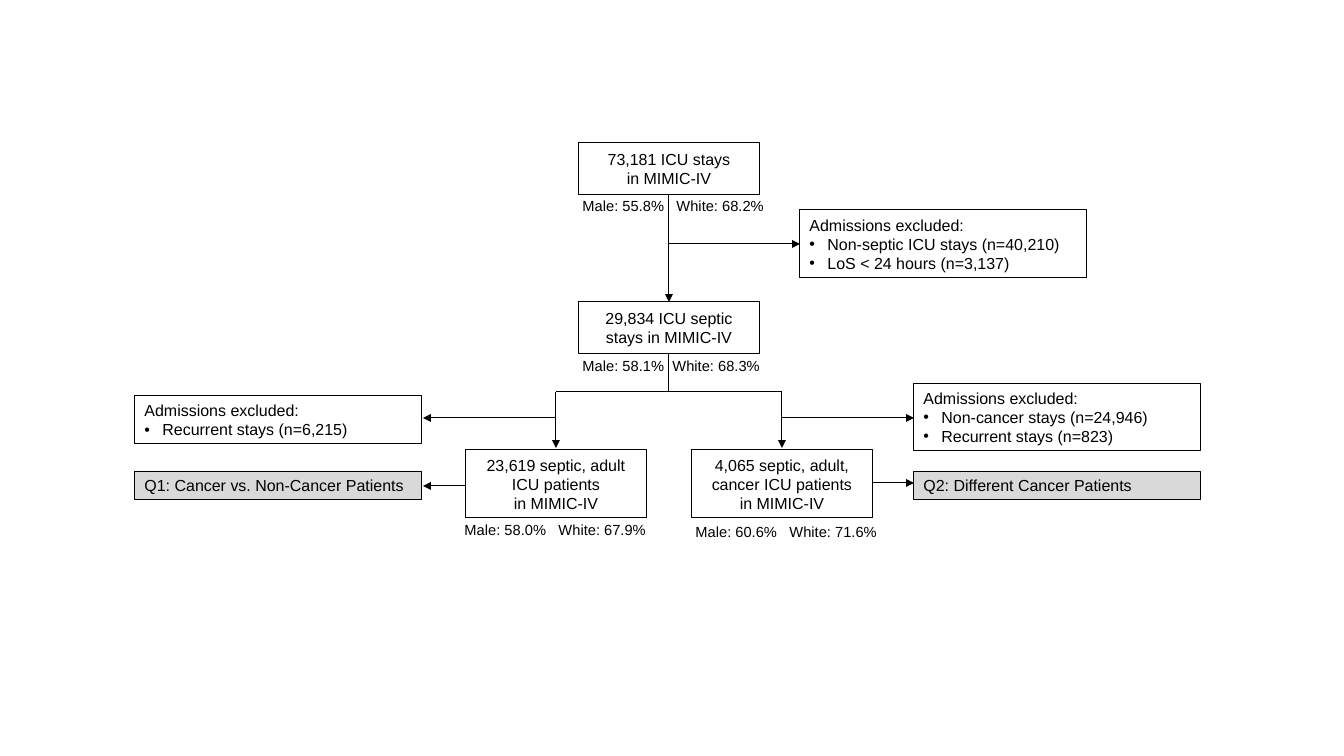
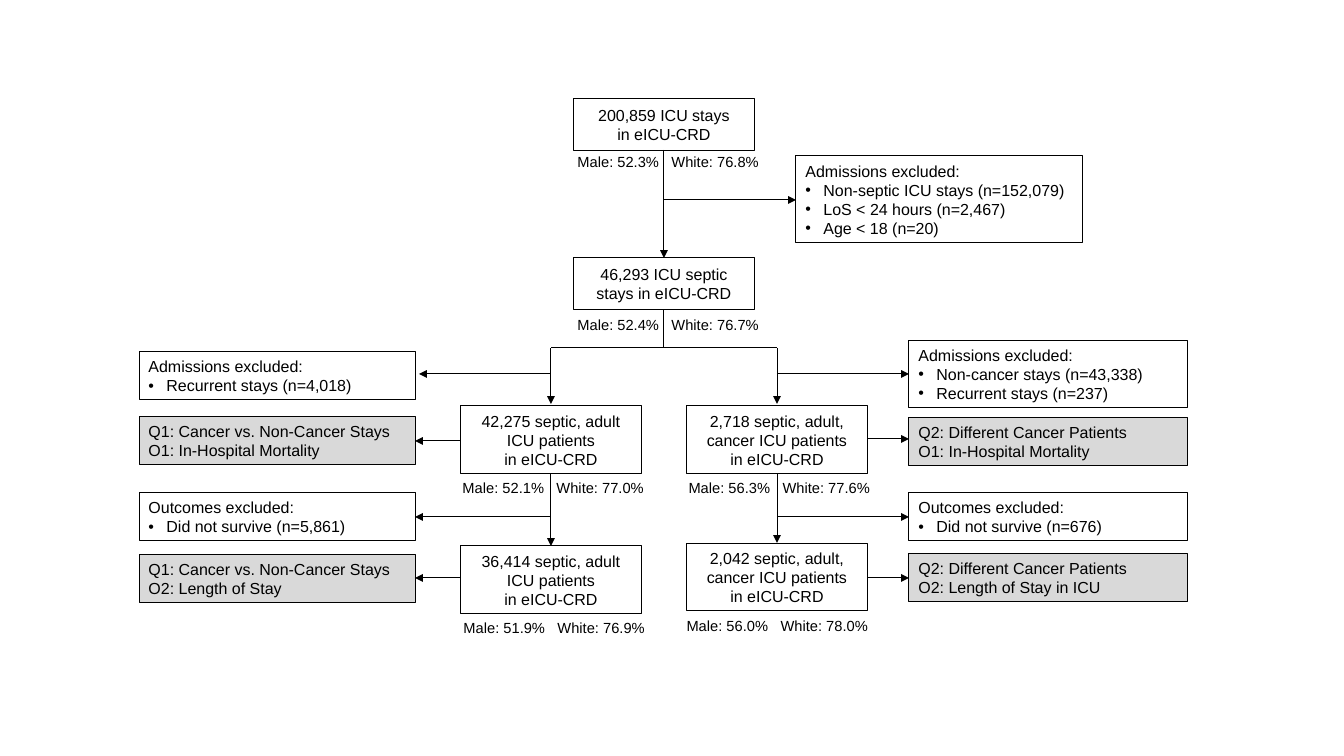
"""Build two patient selection flowcharts for septic ICU cohorts."""
from lxml import etree
from pptx import Presentation
from pptx.dml.color import RGBColor
from pptx.enum.shapes import MSO_CONNECTOR, MSO_SHAPE
from pptx.enum.text import MSO_ANCHOR, PP_ALIGN
from pptx.oxml.ns import qn
from pptx.util import Pt

PX = 9525
BLACK = RGBColor(0x00, 0x00, 0x00)
GREY = RGBColor(0xD9, 0xD9, 0xD9)
FONT = "Arial"
STRAIGHT = MSO_CONNECTOR.STRAIGHT
RECTANGLE = MSO_SHAPE.RECTANGLE
MIDDLE = MSO_ANCHOR.MIDDLE
LEFT, CENTER = PP_ALIGN.LEFT, PP_ALIGN.CENTER

PAGE_W, PAGE_H = 1344, 756
COHORT_W = 181
COHORT_HEIGHTS = {"stays": 52, "patients": 68}
NOTE_HEIGHTS = {1: 29, 2: 48, 3: 68, 4: 87}
BRANCH_STEP = 113
RATE_H, MALE_W, WHITE_W = 28, 82, 87
BULLET_INDENT = 18

# Columns are -1 (all patients), 0 (trunk) and 1 (cancer patients).
CHARTS = [
    {
        "center": 669,
        "cohorts": [
            (0, 143, "stays", "73,181 ICU stays\nin MIMIC-IV"),
            (0, 302, "stays", "29,834 ICU septic stays in MIMIC-IV"),
            (-1, 450, "patients", "23,619 septic, adult ICU patients\nin MIMIC-IV"),
            (1, 450, "patients", "4,065 septic, adult, cancer ICU patients\nin MIMIC-IV"),
        ],
        "rates": [
            (673, 192, 287, 12, "Male: 55.8%", "White: 68.2%"),
            (671, 352, 245, 8, "Male: 58.1%", "White: 68.3%"),
            (555, 516, 245, 12, "Male: 58.0%", "White: 67.9%"),
            (786, 518, 287, 12, "Male: 60.6%", "White: 71.6%"),
        ],
        "exclusions": [
            (800, 210, 287, ["Admissions excluded:", "Non-septic ICU stays (n=40,210)",
                             "LoS < 24 hours (n=3,137)"]),
            (135, 396, 287, ["Admissions excluded:", "Recurrent stays (n=6,215)"]),
            (914, 383, 287, ["Admissions excluded:", "Non-cancer stays (n=24,946)",
                             "Recurrent stays (n=823)"]),
        ],
        "questions": [
            (135, 471, 287, ["Q1: Cancer vs. Non-Cancer Patients"]),
            (914, 471, 287, ["Q2: Different Cancer Patients"]),
        ],
        "fork": (354, 392),
        "descents": [(0, 195, 302), (-1, 392, 448), (1, 392, 448)],
        "exits": [(0, 244, 800), (-1, 418, 423), (1, 418, 914)],
        "answers": [(-1, 486, 423), (1, 483, 914)],
    },
    {
        "center": 664,
        "cohorts": [
            (0, 99, "stays", "200,859 ICU stays\nin eICU-CRD"),
            (0, 258, "stays", "46,293 ICU septic stays in eICU-CRD"),
            (-1, 406, "patients", "42,275 septic, adult ICU patients\nin eICU-CRD"),
            (1, 406, "patients", "2,718 septic, adult, cancer ICU patients\nin eICU-CRD"),
            (-1, 546, "patients", "36,414 septic, adult ICU patients\nin eICU-CRD"),
            (1, 543, "patients", "2,042 septic, adult, cancer ICU patients\nin eICU-CRD"),
        ],
        "rates": [
            (668, 148, 287, 12, "Male: 52.3%", "White: 76.8%"),
            (668, 311, 248, 12, "Male: 52.4%", "White: 76.7%"),
            (553, 474, 248, 12, "Male: 52.1%", "White: 77.0%"),
            (779, 474, 251, 12, "Male: 56.3%", "White: 77.6%"),
            (554, 614, 248, 12, "Male: 51.9%", "White: 76.9%"),
            (777, 612, 251, 12, "Male: 56.0%", "White: 78.0%"),
        ],
        "exclusions": [
            (796, 156, 287, ["Admissions excluded:", "Non-septic ICU stays (n=152,079)",
                             "LoS < 24 hours (n=2,467)", "Age < 18 (n=20)"]),
            (139, 352, 276, ["Admissions excluded:", "Recurrent stays (n=4,018)"]),
            (909, 340, 279, ["Admissions excluded:", "Non-cancer stays (n=43,338)",
                             "Recurrent stays (n=237)"]),
            (139, 493, 276, ["Outcomes excluded:", "Did not survive (n=5,861)"]),
            (909, 493, 279, ["Outcomes excluded:", "Did not survive (n=676)"]),
        ],
        "questions": [
            (139, 417, 276, ["Q1: Cancer vs. Non-Cancer Stays", "O1: In-Hospital Mortality"]),
            (909, 418, 279, ["Q2: Different Cancer Patients", "O1: In-Hospital Mortality"]),
            (139, 555, 276, ["Q1: Cancer vs. Non-Cancer Stays", "O2: Length of Stay"]),
            (909, 554, 279, ["Q2: Different Cancer Patients", "O2: Length of Stay in ICU"]),
        ],
        "fork": (310, 348),
        "descents": [(0, 150, 258), (-1, 348, 404), (1, 348, 404),
                     (-1, 474, 546), (1, 474, 543)],
        "exits": [(0, 200, 796), (-1, 374, 419), (1, 374, 909),
                  (-1, 517, 415), (1, 517, 909)],
        "answers": [(-1, 441, 415), (1, 439, 909), (-1, 578, 415), (1, 578, 909)],
    },
]


def px(*lengths):
    return [round(length * PX) for length in lengths]


def add_span(para, text, size=12):
    span = para.add_run()
    span.text = text
    span.font.name = FONT
    span.font.size = Pt(size)
    span.font.color.rgb = BLACK


def add_bullet(para):
    props = para._p.get_or_add_pPr()
    indent = px(BULLET_INDENT)[0]
    props.set("marL", str(indent))
    props.set("indent", str(-indent))
    etree.SubElement(props, qn("a:buFont")).set("typeface", FONT)
    etree.SubElement(props, qn("a:buChar")).set("char", "•")


def add_box(page, left, top, width, height, lines, align=LEFT, fill=None, bulleted=False):
    box = page.shapes.add_shape(RECTANGLE, *px(left, top, width, height))
    box.shadow.inherit = False
    box.line.color.rgb = BLACK
    box.line.width = Pt(0.75)
    if fill is None:
        box.fill.background()
    else:
        box.fill.solid()
        box.fill.fore_color.rgb = fill
    frame = box.text_frame
    frame.word_wrap = True
    frame.vertical_anchor = MIDDLE
    for index, line in enumerate(lines):
        para = frame.add_paragraph() if index else frame.paragraphs[0]
        para.alignment = align
        if bulleted and index:
            add_bullet(para)
        for part, text in enumerate(line.split("\n")):
            if part:
                para.add_line_break()
            add_span(para, text)


def add_rates(page, center, top, width, gap, male, white):
    box = page.shapes.add_textbox(*px(center - width / 2, top, width, RATE_H))
    frame = box.text_frame
    frame.word_wrap = True
    frame.margin_left = px((width - MALE_W - gap - WHITE_W) / 2)[0]
    frame.margin_right = 0
    para = frame.paragraphs[0]
    para.alignment = LEFT
    tabs = etree.SubElement(para._p.get_or_add_pPr(), qn("a:tabLst"))
    tab = etree.SubElement(tabs, qn("a:tab"))
    tab.set("pos", str(px(MALE_W + gap)[0]))
    tab.set("algn", "l")
    add_span(para, f"{male}\t{white}", 11)


def add_line(page, x1, y1, x2, y2, arrow=True):
    line = page.shapes.add_connector(STRAIGHT, *px(x1, y1, x2, y2))
    line.line.color.rgb = BLACK
    line.line.width = Pt(0.75)
    if arrow:
        etree.SubElement(line.line._get_or_add_ln(), qn("a:tailEnd")).set("type", "triangle")
    etree.SubElement(line._element.spPr, qn("a:effectLst"))


def draw_chart(page, chart):
    center = chart["center"]
    columns = {side: center + side * BRANCH_STEP for side in (-1, 0, 1)}
    for column, top, kind, text in chart["cohorts"]:
        add_box(page, columns[column] - COHORT_W / 2, top, COHORT_W,
                COHORT_HEIGHTS[kind], [text], CENTER)
    for left, top, width, lines in chart["exclusions"]:
        add_box(page, left, top, width, NOTE_HEIGHTS[len(lines)], lines, bulleted=True)
    for left, top, width, lines in chart["questions"]:
        add_box(page, left, top, width, NOTE_HEIGHTS[len(lines)], lines, fill=GREY)
    for rates in chart["rates"]:
        add_rates(page, *rates)

    fork_top, fork_bottom = chart["fork"]
    add_line(page, center, fork_top, center, fork_bottom, arrow=False)
    for side in (-1, 1):
        add_line(page, center, fork_bottom, columns[side], fork_bottom, arrow=False)
    for column, top, bottom in chart["descents"]:
        add_line(page, columns[column], top, columns[column], bottom)
    for column, y, end in chart["exits"]:
        add_line(page, columns[column], y, end, y)
    for column, y, end in chart["answers"]:
        add_line(page, columns[column] + column * COHORT_W / 2, y, end, y)


def main():
    deck = Presentation()
    deck.slide_width, deck.slide_height = px(PAGE_W, PAGE_H)
    for chart in CHARTS:
        draw_chart(deck.slides.add_slide(deck.slide_layouts[6]), chart)
    deck.save("out.pptx")


if __name__ == "__main__":
    main()
